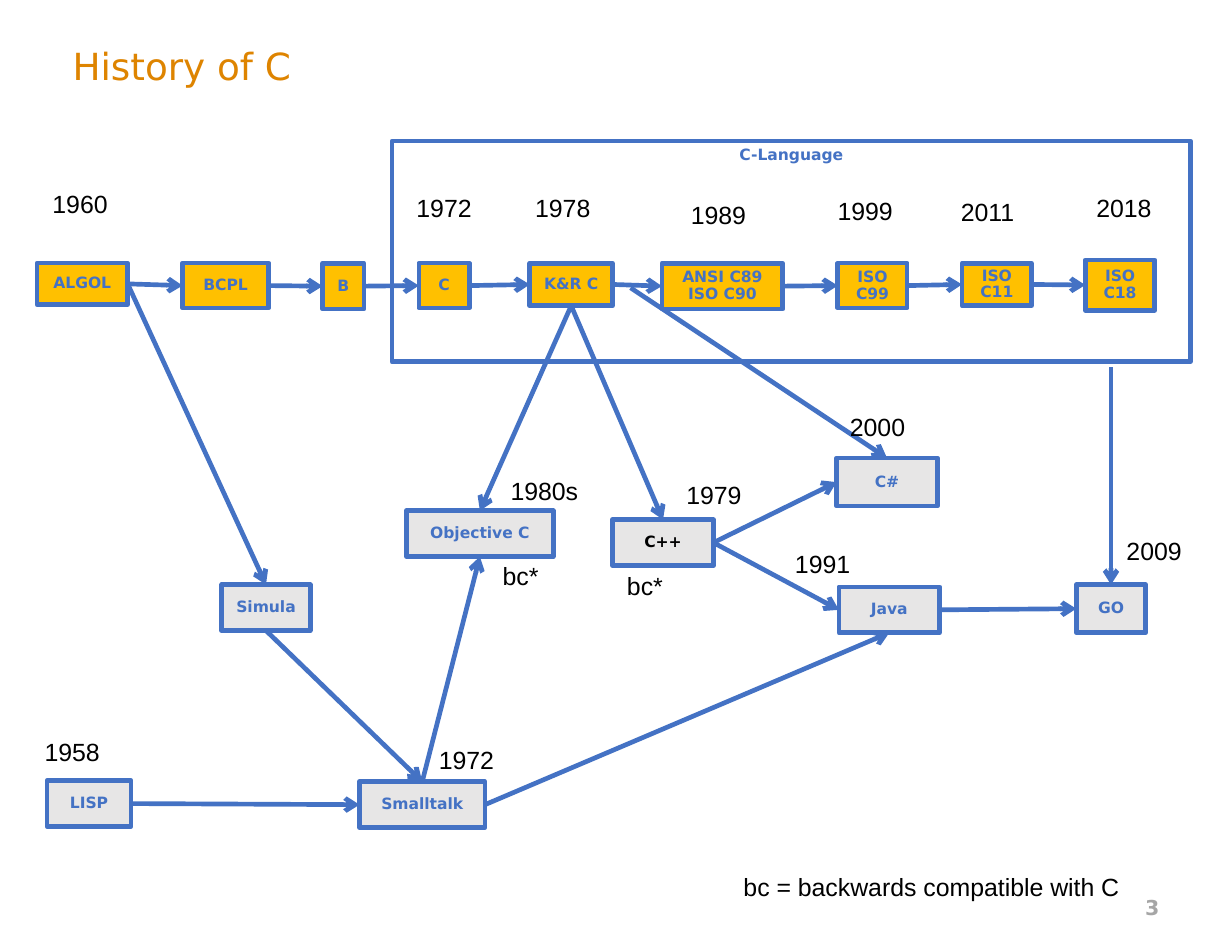
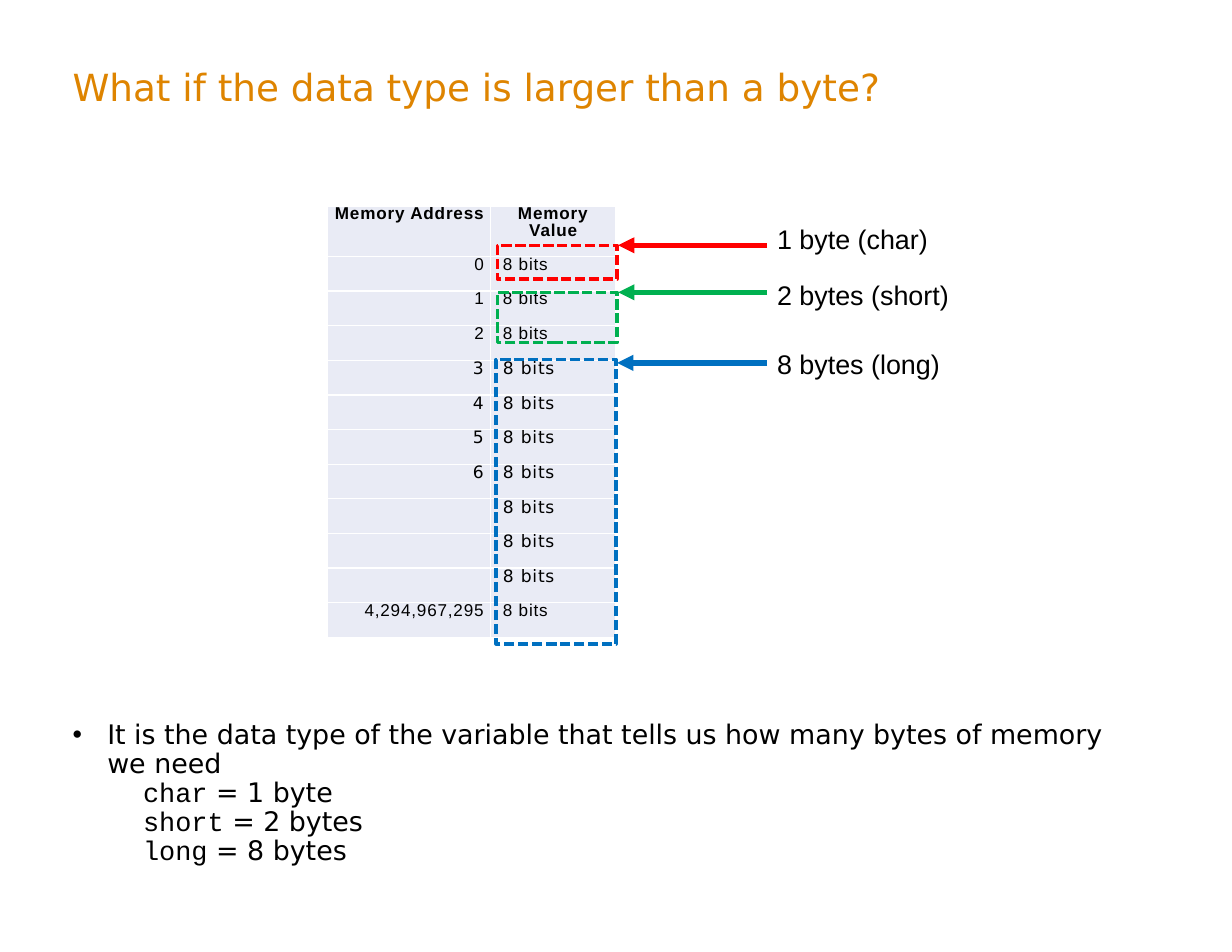
import dataclasses

import lxml.etree
import pptx
import pptx.dml.color
import pptx.enum.dml
import pptx.enum.shapes
import pptx.enum.text
import pptx.oxml.ns
import pptx.shapes.autoshape
import pptx.util

COLOR = pptx.dml.color.RGBColor
ORANGE = COLOR(0xDE, 0x84, 0x00)
BLACK = COLOR(0x00, 0x00, 0x00)
WHITE = COLOR(0xFF, 0xFF, 0xFF)
GRAY = COLOR(0xA6, 0xA6, 0xA6)
BLUE = COLOR(0x44, 0x72, 0xC4)
GOLD = COLOR(0xFF, 0xC0, 0x00)
SILVER = COLOR(0xE7, 0xE6, 0xE6)
CELL_TINT = COLOR(0xE9, 0xEB, 0xF5)
LONG_BLUE = COLOR(0x00, 0x70, 0xC0)
SHORT_GREEN = COLOR(0x00, 0xB0, 0x50)
CHAR_RED = COLOR(0xFF, 0x00, 0x00)

SANS, ARIAL, MONO = "DejaVu Sans", "Arial", "Courier New"
COLUMNS, ROWS, UNIT = 110, 85, pptx.util.Inches(0.1)
TOP, LEFT, BOTTOM, RIGHT = range(4)
ALIGN = pptx.enum.text.PP_ALIGN
ANCHOR = pptx.enum.text.MSO_ANCHOR
RECTANGLE = pptx.enum.shapes.MSO_SHAPE.RECTANGLE

LANGUAGES = {
    "ALGOL": (0.3, 11.5, 8.1, 3.7), "BCPL": (13.3, 11.5, 7.7, 4),
    "B": (25.8, 11.5, 3.7, 4.1), "C": (34.4, 11.5, 4.5, 4),
    "K&R C": (44.3, 11.5, 7.4, 3.8), "ANSI C89\nISO C90": (56.1, 11.5, 10.8, 4.1),
    "ISO C99": (71.8, 11.5, 6.2, 4), "ISO C11": (82.9, 11.5, 6.2, 3.8),
    "ISO C18": (93.9, 11.2, 6.2, 4.5),
    "LISP": (1.2, 57.7, 7.5, 4.1), "Simula": (16.8, 40.2, 7.9, 4.1),
    "Smalltalk": (29.1, 57.8, 11.2, 4.1), "Objective C": (33.3, 33.6, 13.1, 4.1),
    "C++": (51.7, 34.4, 9, 4.1), "C#": (71.7, 28.9, 9, 4.3),
    "Java": (71.9, 40.4, 9, 4.1), "GO": (93.1, 40.2, 6.2, 4.3),
}
MAIN_LINE = list(LANGUAGES)[:9]
INFLUENCES = [
    ("ALGOL", RIGHT, "Simula", TOP), ("Simula", BOTTOM, "Smalltalk", TOP),
    ("LISP", RIGHT, "Smalltalk", LEFT), ("Smalltalk", RIGHT, "Java", BOTTOM),
    ("Smalltalk", TOP, "Objective C", BOTTOM), ("K&R C", BOTTOM, "Objective C", TOP),
    ("K&R C", BOTTOM, "C++", TOP), ("C++", RIGHT, "Java", LEFT),
    ("C++", RIGHT, "C#", LEFT), ("Java", RIGHT, "GO", LEFT),
]
FREE_STARTS = [("C#", 53.3, 13.7), ("GO", 96.2, 20.8)]
NOTES = [
    ("1960", 0.7, 4.7, 7), ("1972", 33.2, 5, 7), ("1978", 43.8, 5, 7),
    ("1989", 57.7, 5.6, 7), ("1999", 70.8, 5.3, 7), ("2011", 81.8, 5.4, 6.8),
    ("2018", 93.9, 5, 7), ("1979", 57.3, 30.6, 7), ("2000", 71.9, 24.6, 7),
    ("1980s", 41.6, 30.3, 8.1), ("1972", 35.2, 54.3, 7), ("1958", 0, 53.6, 7),
    ("1991", 67, 36.8, 7), ("2009", 96.6, 35.6, 7), ("bc*", 40.9, 37.9, 5.3),
    ("bc*", 52, 38.8, 5.3), ("bc = backwards compatible with C", 62.4, 65.6, 36),
]
ADDRESSES = ["0", "1", "2", "3", "4", "5", "6", "", "", "", "4,294,967,295"]
CALLOUTS = [
    ("8 bytes (long)", LONG_BLUE, 15.1, 13.7, 25.4, 14, 12.5),
    ("2 bytes (short)", SHORT_GREEN, 15.2, 7.7, 4.5, 7.7, 6.3),
    ("1 byte (char)", CHAR_RED, 15.2, 3.5, 3, 3.5, 1.3),
]
SIZES = [("char", " = 1 byte"), ("short", " = 2 bytes"), ("long", " = 8 bytes")]


@dataclasses.dataclass
class Box:
    """A region measured in grid columns and rows."""
    left: float
    top: float
    width: float
    height: float

    def inner(self, left, top, width, height):
        """Return a box placed relative to this one."""
        return Box(self.left + left, self.top + top, width, height)

    def lengths(self):
        """Return the four lengths for python-pptx."""
        return [round(value * UNIT) for value in dataclasses.astuple(self)]


def add_element(parent, tag, **attributes):
    """Append one XML element to a parent."""
    return lxml.etree.SubElement(parent, pptx.oxml.ns.qn(tag), attributes)


def add_run(para, text, size, font=SANS, color=BLACK, bold=False):
    """Append one styled run to a paragraph."""
    span = para.add_run()
    span.text = text
    span.font.name, span.font.size, span.font.bold = font, pptx.util.Pt(size), bold
    span.font.color.rgb = color
    return span


def write_lines(frame, text, size, font=SANS, color=BLACK, bold=False, align=ALIGN.LEFT, spacing=0.9):
    """Write each line of the text as a paragraph of the frame."""
    for index, line in enumerate(text.split("\n")):
        para = frame.add_paragraph() if index else frame.paragraphs[0]
        para.alignment, para.line_spacing = align, spacing
        add_run(para, line, size, font, color, bold)


def add_textbox(page, box, wrap=True, anchor=ANCHOR.TOP):
    """Add an empty text box and return its frame."""
    frame = page.shapes.add_textbox(*box.lengths()).text_frame
    frame.word_wrap, frame.vertical_anchor = wrap, anchor
    return frame


def add_rectangle(page, box, line, width, fill=None):
    """Add an outlined rectangle, filled when a colour is given."""
    shape = page.shapes.add_shape(RECTANGLE, *box.lengths())
    shape.shadow.inherit = False
    if fill is None:
        shape.fill.background()
    else:
        shape.fill.solid()
        shape.fill.fore_color.rgb = fill
    shape.line.color.rgb, shape.line.width = line, pptx.util.Pt(width)
    return shape


def is_shape(place):
    """Tell a shape from a grid position."""
    return isinstance(place, pptx.shapes.autoshape.Shape)


def add_arrow(page, start, end, color=BLUE, width=3, head="arrow"):
    """Add an arrow between two ends, each a grid point or a (shape, side) pair."""
    points = [(0, 0) if is_shape(place) else (round(place * UNIT), round(other * UNIT))
              for place, other in (start, end)]
    straight = pptx.enum.shapes.MSO_CONNECTOR.STRAIGHT
    arrow = page.shapes.add_connector(straight, *points[0], *points[1])
    for (place, side), connect in ((start, arrow.begin_connect), (end, arrow.end_connect)):
        if is_shape(place):
            connect(place, side)
    arrow.line.color.rgb, arrow.line.width = color, pptx.util.Pt(width)
    outline = arrow._element.spPr.find(pptx.oxml.ns.qn("a:ln"))
    add_element(outline, "a:tailEnd", type=head)
    add_element(arrow._element.spPr, "a:effectLst")


def add_title(page, box, text):
    """Write the slide title."""
    frame = add_textbox(page, box, anchor=ANCHOR.MIDDLE)
    write_lines(frame, text, 24, color=ORANGE, spacing=1)


def add_page_number(page, box, number):
    """Write the page number at the lower right."""
    frame = add_textbox(page, box, anchor=ANCHOR.MIDDLE)
    write_lines(frame, number, 13.2, color=GRAY, bold=True, align=ALIGN.RIGHT, spacing=1)


def add_family_tree(page, box):
    """Draw the languages, their influences and their years."""
    nodes = {}
    for name, place in LANGUAGES.items():
        fill = GOLD if name in MAIN_LINE else SILVER
        node = nodes[name] = add_rectangle(page, box.inner(*place), BLUE, 3, fill)
        node.text_frame.word_wrap = True
        node.text_frame.vertical_anchor = ANCHOR.MIDDLE
        color = BLACK if name == "C++" else BLUE
        write_lines(node.text_frame, name, 10, color=color, bold=True, align=ALIGN.CENTER)
    steps = [(old, RIGHT, new, LEFT) for old, new in zip(MAIN_LINE, MAIN_LINE[1:])]
    for old, old_side, new, new_side in steps + INFLUENCES:
        add_arrow(page, (nodes[old], old_side), (nodes[new], new_side))
    for name, left, top in FREE_STARTS:
        add_arrow(page, (box.left + left, box.top + top), (nodes[name], TOP))
    family = add_rectangle(page, box.inner(32, 0.6, 71.3, 19.7), BLUE, 3)
    family.text_frame.vertical_anchor = ANCHOR.TOP
    write_lines(family.text_frame, "C-Language", 10, color=BLUE, bold=True, align=ALIGN.CENTER)
    for text, left, top, width in NOTES:
        frame = add_textbox(page, box.inner(left, top, width, 3.4), wrap=False)
        write_lines(frame, text, 16, ARIAL)


def fill_cell(cell, text, font, align, bold=False, indent=0.06):
    """Style and fill one table cell."""
    properties = cell._tc.get_or_add_tcPr()
    for side in ("a:lnL", "a:lnR", "a:lnT", "a:lnB"):
        border = add_element(properties, side, w=str(pptx.util.Pt(1)))
        add_element(add_element(border, "a:solidFill"), "a:srgbClr", val=str(WHITE))
    cell.fill.solid()
    cell.fill.fore_color.rgb = CELL_TINT
    cell.margin_left, cell.margin_right = pptx.util.Inches(indent), pptx.util.Inches(0.06)
    cell.margin_top = cell.margin_bottom = 0
    para = cell.text_frame.paragraphs[0]
    para.alignment, para.line_spacing = align, 0.9
    if text:
        span = add_run(para, text, 11, font, bold=bold)
        span.font._element.set("spc", "50")
    else:
        add_element(para._p, "a:endParaRPr", sz="1100")


def add_memory_table(page, box):
    """Build the table of memory addresses and values."""
    table = page.shapes.add_table(len(ADDRESSES) + 1, 2, *box.lengths()).table
    table.first_row = table.horz_banding = False
    for column, width in zip(table.columns, (14.6, 11.2)):
        column.width = round(width * UNIT)
    header_height = 4.5
    share = (box.height - header_height) / len(ADDRESSES)
    for index, row in enumerate(table.rows):
        row.height = round((share if index else header_height) * UNIT)
    fill_cell(table.cell(0, 0), "Memory Address", ARIAL, ALIGN.RIGHT, True)
    fill_cell(table.cell(0, 1), "Memory Value", ARIAL, ALIGN.CENTER, True)
    for row, address in enumerate(ADDRESSES, 1):
        font = ARIAL if row <= 3 or row == len(ADDRESSES) else SANS
        fill_cell(table.cell(row, 0), address, font, ALIGN.RIGHT)
        fill_cell(table.cell(row, 1), "8 bits", font, ALIGN.LEFT, indent=0.11)


def add_callouts(page, box):
    """Frame the bytes of each data type and point at them."""
    for text, color, left, top, height, arrow_row, label_row in CALLOUTS:
        outline = add_rectangle(page, box.inner(left, top, 10.7, height), color, 2.25)
        outline.line.dash_style = pptx.enum.dml.MSO_LINE.SQUARE_DOT
        row = box.top + arrow_row
        add_arrow(page, (box.left + 39.3, row), (box.left + left + 10.8, row), color, 3.5, "triangle")
        frame = add_textbox(page, box.inner(39.2, label_row, 33, 3.6))
        write_lines(frame, text, 17.3, ARIAL)


def add_size_summary(page, box):
    """Write the closing bullet and the size of each type."""
    frame = add_textbox(page, box)
    bullet = frame.paragraphs[0]
    properties = bullet._p.get_or_add_pPr()
    properties.set("marL", str(pptx.util.Inches(0.31)))
    properties.set("indent", str(pptx.util.Inches(-0.31)))
    add_element(properties, "a:buFont", typeface=ARIAL)
    add_element(properties, "a:buChar", char="•")
    bullet.line_spacing = 0.9
    add_run(bullet, "It is the data type of the variable that tells us how many bytes of memory we need", 17.3)
    for keyword, size in SIZES:
        para = frame.add_paragraph()
        para.level, para.line_spacing = 1, 0.9
        properties = para._p.get_or_add_pPr()
        properties.set("marL", str(pptx.util.Inches(0.63)))
        properties.set("indent", "0")
        add_run(para, keyword, 17.3, MONO)
        add_run(para, size, 17.3)


def build_history(page):
    """Build the slide on the history of C."""
    add_title(page, Box(5.5, 1.5, 99, 8.7), "History of C")
    add_page_number(page, Box(78.8, 78.8, 25.7, 4.5), "3")
    add_family_tree(page, Box(3, 12, 104, 69))


def build_data_types(page):
    """Build the slide on data types larger than a byte."""
    add_title(page, Box(5.5, 3.4, 99, 8.7), "What if the data type is larger than a byte?")
    memory = Box(29.2, 18.4, 25.8, 38.5)
    add_memory_table(page, memory)
    add_callouts(page, memory)
    add_size_summary(page, Box(5.5, 63.9, 96.3, 19.4))


def main():
    """Build and save the deck."""
    deck = pptx.Presentation()
    deck.slide_width, deck.slide_height = COLUMNS * UNIT, ROWS * UNIT
    for build in (build_history, build_data_types):
        build(deck.slides.add_slide(deck.slide_layouts[6]))
    deck.save("out.pptx")


if __name__ == "__main__":
    main()
